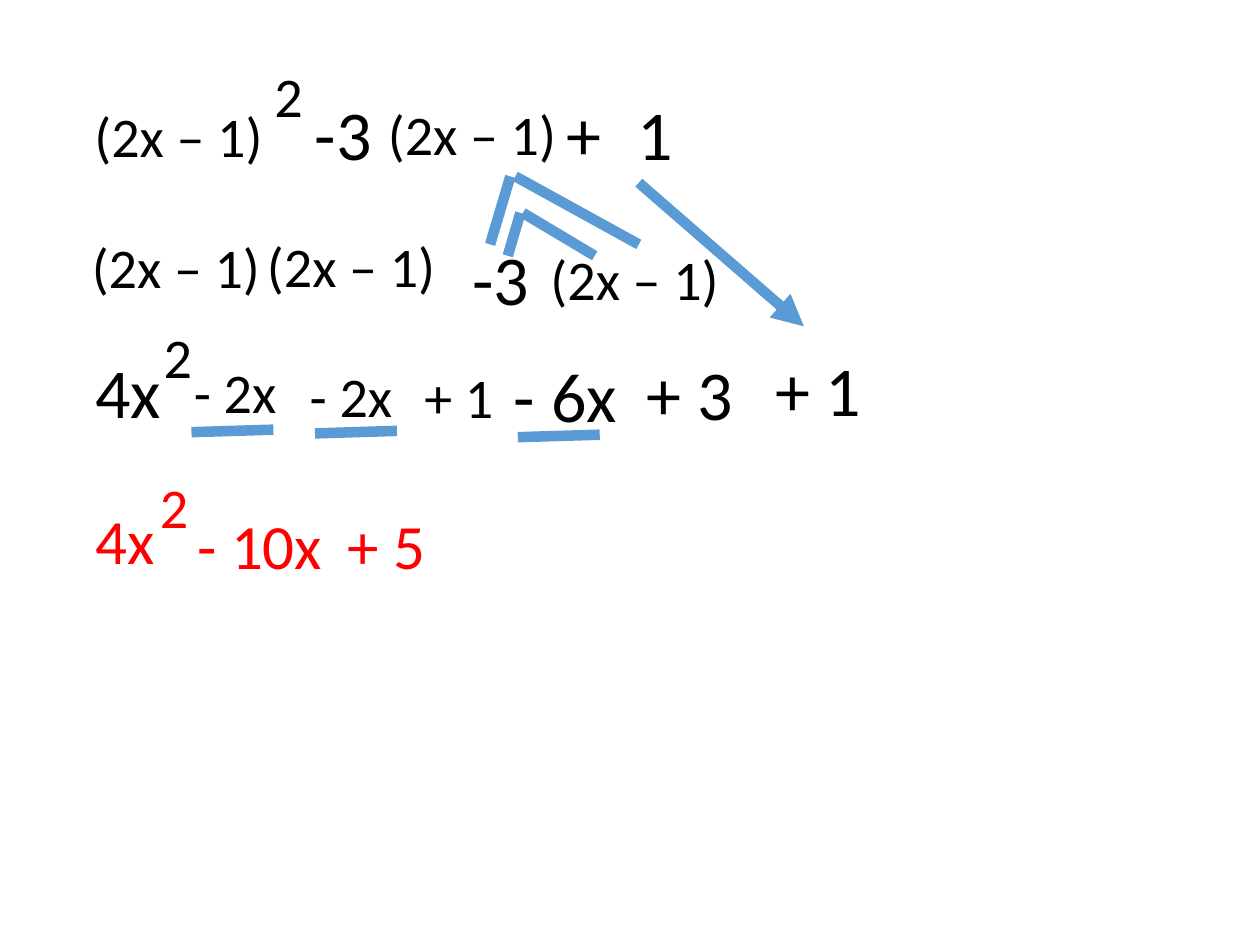
from typing import NamedTuple

from lxml import etree
from pptx import Presentation
from pptx import util as u
from pptx.dml.color import RGBColor
from pptx.enum import shapes, text
from pptx.oxml.ns import qn

COLORS = {"ink": "000000", "answer": "FF0000", "mark": "5B9BD5"}
FONT = "Calibri"
BOX_HEIGHTS = {32: 0.64, 36: 0.71, 40: 0.77}
BINOMIAL = "(2x – 1)"


class Term(NamedTuple):
    wording: str
    left: float
    top: float
    width: float
    size: int = 32
    color: str = "ink"


class Stroke(NamedTuple):
    x1: float
    y1: float
    x2: float
    y2: float
    arrow: bool = False


EXPRESSION = [
    Term(BINOMIAL, 0.65, 0.76, 1.59),
    Term("2", 2.08, 0.44, 0.51),
    Term("-3", 2.4, 0.67, 0.75, 40),
    Term(BINOMIAL, 2.98, 0.74, 1.59),
    Term("+", 4.4, 0.67, 0.75, 40),
    Term("1", 4.96, 0.67, 0.75, 40),
]
FACTORS = [
    Term(BINOMIAL, 0.63, 1.8, 1.59),
    Term(BINOMIAL, 2.02, 1.79, 1.59),
    Term("-3", 3.65, 1.82, 0.75, 40),
    Term(BINOMIAL, 4.27, 1.89, 1.59),
]
EXPANSION = [
    Term("4x", 0.66, 2.72, 0.75, 40),
    Term("2", 1.2, 2.51, 0.51),
    Term("- 2x", 1.44, 2.79, 0.99),
    Term("- 2x", 2.36, 2.82, 0.99),
    Term("+ 1", 3.27, 2.83, 0.99),
    Term("- 6x", 3.98, 2.75, 1.12, 40),
    Term(" + 3", 4.91, 2.73, 1.12, 40),
    Term(" + 1", 5.93, 2.7, 1.12, 40),
]
ANSWER = [
    Term("4x", 0.66, 3.93, 1.09, 36, "answer"),
    Term("2", 1.17, 3.7, 0.47, 32, "answer"),
    Term("- 10x", 1.47, 3.97, 1.24, 36, "answer"),
    Term("+ 5", 2.66, 3.97, 0.85, 36, "answer"),
]
DISTRIBUTION = [
    Stroke(4.03, 2.03, 4.13, 1.69),
    Stroke(4.72, 2.03, 4.15, 1.69),
    Stroke(3.89, 1.94, 4.05, 1.4),
    Stroke(5.07, 1.94, 4.09, 1.4),
]
CARRY_DOWN = Stroke(5.07, 1.45, 6.38, 2.59, arrow=True)
LIKE_TERM_UNDERLINES = [
    Stroke(left, top, left + 0.65, top - 0.02)
    for left, top in [(1.52, 3.43), (2.5, 3.44), (4.11, 3.47)]
]


def add_text(slide, wording: str, *, left: float, top: float, width: float,
             size: int, color: str) -> None:
    box = slide.shapes.add_textbox(u.Inches(left), u.Inches(top),
                                   u.Inches(width), u.Inches(BOX_HEIGHTS[size]))
    frame = box.text_frame
    frame.word_wrap = True
    frame.auto_size = text.MSO_AUTO_SIZE.SHAPE_TO_FIT_TEXT
    run = frame.paragraphs[0].add_run()
    run.text = wording
    run.font.name = FONT
    run.font.size = u.Pt(size)
    run.font.color.rgb = RGBColor.from_string(COLORS[color])


def add_stroke(slide, stroke: Stroke) -> None:
    connector = slide.shapes.add_connector(
        shapes.MSO_CONNECTOR.STRAIGHT,
        u.Inches(stroke.x1), u.Inches(stroke.y1),
        u.Inches(stroke.x2), u.Inches(stroke.y2))
    connector.line.width = u.Pt(6)
    connector.line.color.rgb = RGBColor.from_string(COLORS["mark"])
    properties = connector._element.spPr
    if stroke.arrow:
        etree.SubElement(properties.find(qn("a:ln")), qn("a:tailEnd"), type="triangle")
    etree.SubElement(properties, qn("a:effectLst"))


def main() -> None:
    deck = Presentation()
    deck.slide_width, deck.slide_height = u.Inches(10), u.Inches(7.5)
    slide = deck.slides.add_slide(deck.slide_layouts[6])
    for term in EXPRESSION + FACTORS + EXPANSION + ANSWER:
        add_text(slide, term.wording, left=term.left, top=term.top,
                 width=term.width, size=term.size, color=term.color)
    for stroke in [*DISTRIBUTION, CARRY_DOWN, *LIKE_TERM_UNDERLINES]:
        add_stroke(slide, stroke)
    deck.save("out.pptx")


if __name__ == "__main__":
    main()
